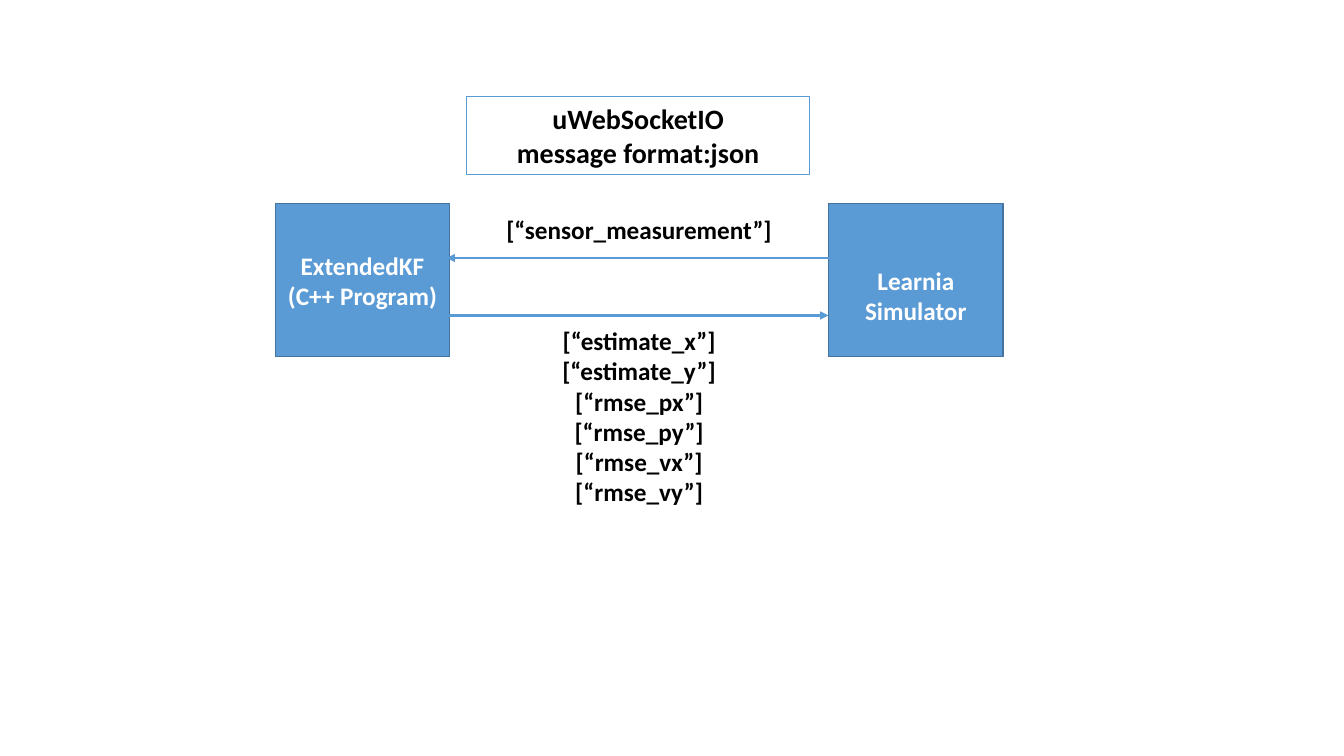
from dataclasses import dataclass

from lxml import etree
from pptx import Presentation
from pptx.dml.color import RGBColor
from pptx.enum.shapes import MSO_CONNECTOR, MSO_SHAPE
from pptx.enum.text import MSO_ANCHOR, PP_ALIGN
from pptx.oxml.ns import qn
from pptx.util import Inches, Pt


@dataclass(frozen=True)
class Theme:
    font: str = "Calibri"
    body_size: float = 18
    heading_size: float = 20
    box_line: float = 1
    arrow_line: float = 1.5
    blue: str = "5B9BD5"
    dark_blue: str = "43739E"
    white: str = "FFFFFF"
    black: str = "000000"


THEME = Theme()
SLIDE_WIDTH, SLIDE_HEIGHT = Inches(13.33), Inches(7.5)

# Horizontal and vertical places are percentages of the slide's size.
PROGRAM_LEFT, SIMULATOR_LEFT = 20.48, 61.65
NODE_TOP, NODE_WIDTH, NODE_HEIGHT = 26.93, 12.98, 20.27
CHANNEL_LEFT = PROGRAM_LEFT + NODE_WIDTH
CHANNEL_WIDTH = SIMULATOR_LEFT - CHANNEL_LEFT
ARROW_LEFT = 33.23
INCOMING_Y, OUTGOING_Y = 34.13, 41.73


def across(share):
    return round(SLIDE_WIDTH * share / 100)


def down(share):
    return round(SLIDE_HEIGHT * share / 100)


def area(left, top, width, height):
    return across(left), down(top), across(width), down(height)


def write_text(shape, lines, *, size=THEME.body_size, color=THEME.black,
               anchor=MSO_ANCHOR.TOP, top_inset=0.05):
    """Fill the shape with one centred bold paragraph per line."""
    frame = shape.text_frame
    frame.word_wrap = True
    frame.vertical_anchor = anchor
    frame.margin_top = Inches(top_inset)
    frame.text = "\n".join(lines)
    for paragraph in frame.paragraphs:
        paragraph.alignment = PP_ALIGN.CENTER
        font = paragraph.runs[0].font
        font.name = THEME.font
        font.size = Pt(size)
        font.bold = True
        font.color.rgb = RGBColor.from_string(color)


def add_box(slide, place, lines, *, fill, line, **text_format):
    shape = slide.shapes.add_shape(MSO_SHAPE.RECTANGLE, *area(*place))
    shape.shadow.inherit = False
    shape.fill.solid()
    shape.fill.fore_color.rgb = RGBColor.from_string(fill)
    shape.line.color.rgb = RGBColor.from_string(line)
    shape.line.width = Pt(THEME.box_line)
    write_text(shape, lines, **text_format)


def add_node(slide, left, lines, **text_format):
    add_box(slide, (left, NODE_TOP, NODE_WIDTH, NODE_HEIGHT), lines,
            fill=THEME.blue, line=THEME.dark_blue, color=THEME.white,
            anchor=MSO_ANCHOR.MIDDLE, **text_format)


def add_message_label(slide, top, height, lines):
    label = slide.shapes.add_textbox(
        *area(CHANNEL_LEFT, top, CHANNEL_WIDTH, height))
    write_text(label, lines)


def add_arrow(slide, start, end, y):
    arrow = slide.shapes.add_connector(
        MSO_CONNECTOR.STRAIGHT, across(start), down(y), across(end), down(y))
    arrow.line.color.rgb = RGBColor.from_string(THEME.blue)
    arrow.line.width = Pt(THEME.arrow_line)
    properties = arrow.line._get_or_add_ln()
    etree.SubElement(properties, qn("a:tailEnd"), type="triangle")
    etree.SubElement(arrow._element.spPr, qn("a:effectLst"))


def main():
    presentation = Presentation()
    presentation.slide_width = SLIDE_WIDTH
    presentation.slide_height = SLIDE_HEIGHT
    slide = presentation.slides.add_slide(presentation.slide_layouts[6])

    add_node(slide, PROGRAM_LEFT, ["ExtendedKF", "(C++ Program)"])
    add_node(slide, SIMULATOR_LEFT, ["Learnia Simulator"], top_inset=0.35)
    add_arrow(slide, SIMULATOR_LEFT, ARROW_LEFT, INCOMING_Y)
    add_arrow(slide, ARROW_LEFT, SIMULATOR_LEFT, OUTGOING_Y)
    add_box(slide, (34.73, 12.8, 25.5, 10.27),
            ["uWebSocketIO", "message format:json"],
            fill=THEME.white, line=THEME.blue, size=THEME.heading_size)

    estimates = ["estimate_x", "estimate_y",
                 "rmse_px", "rmse_py", "rmse_vx", "rmse_vy"]
    add_message_label(slide, 27.73, 5.33, ["[“sensor_measurement”]"])
    add_message_label(slide, 42.4, 25.6, [f"[“{name}”]" for name in estimates])

    presentation.save("out.pptx")


if __name__ == "__main__":
    main()
